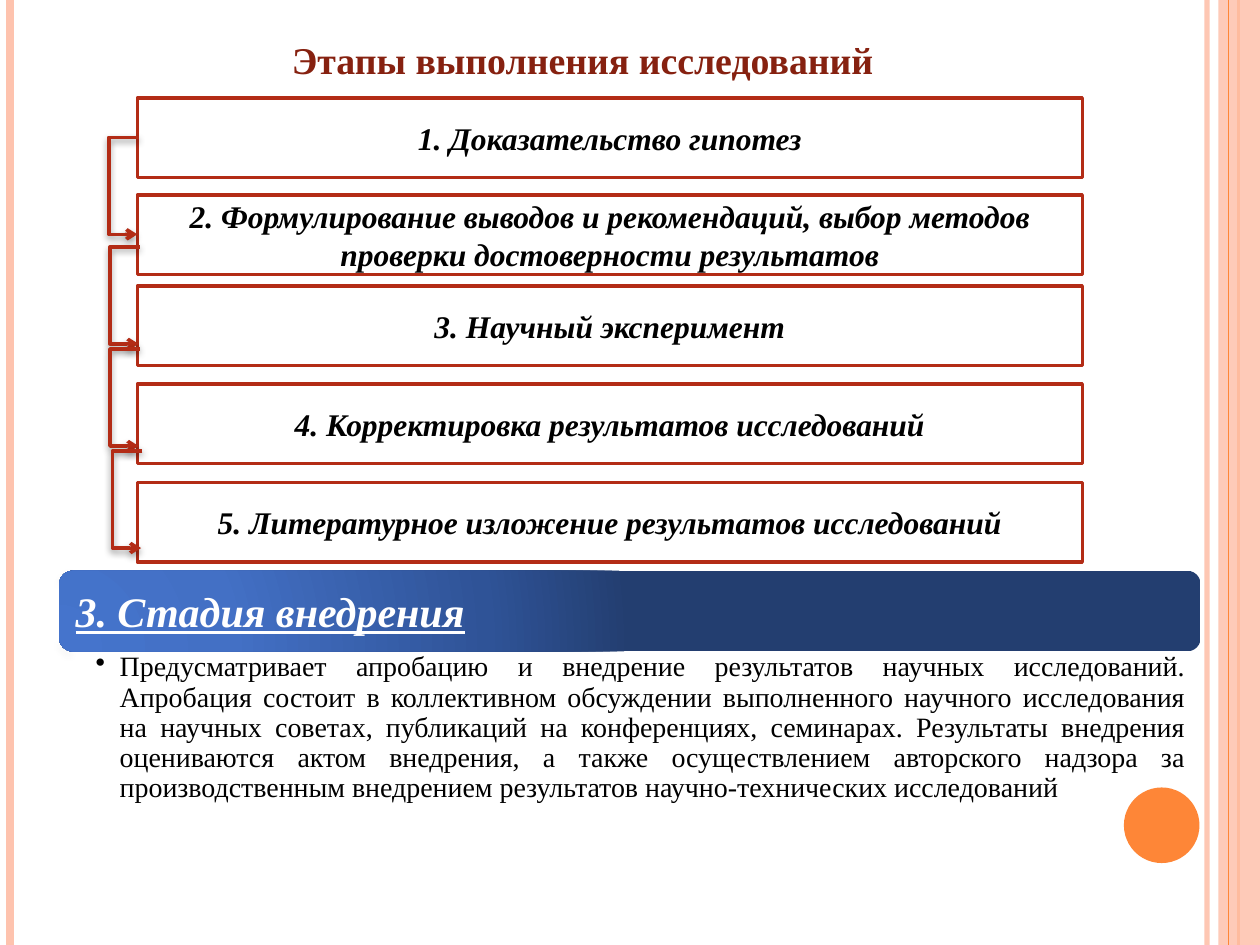
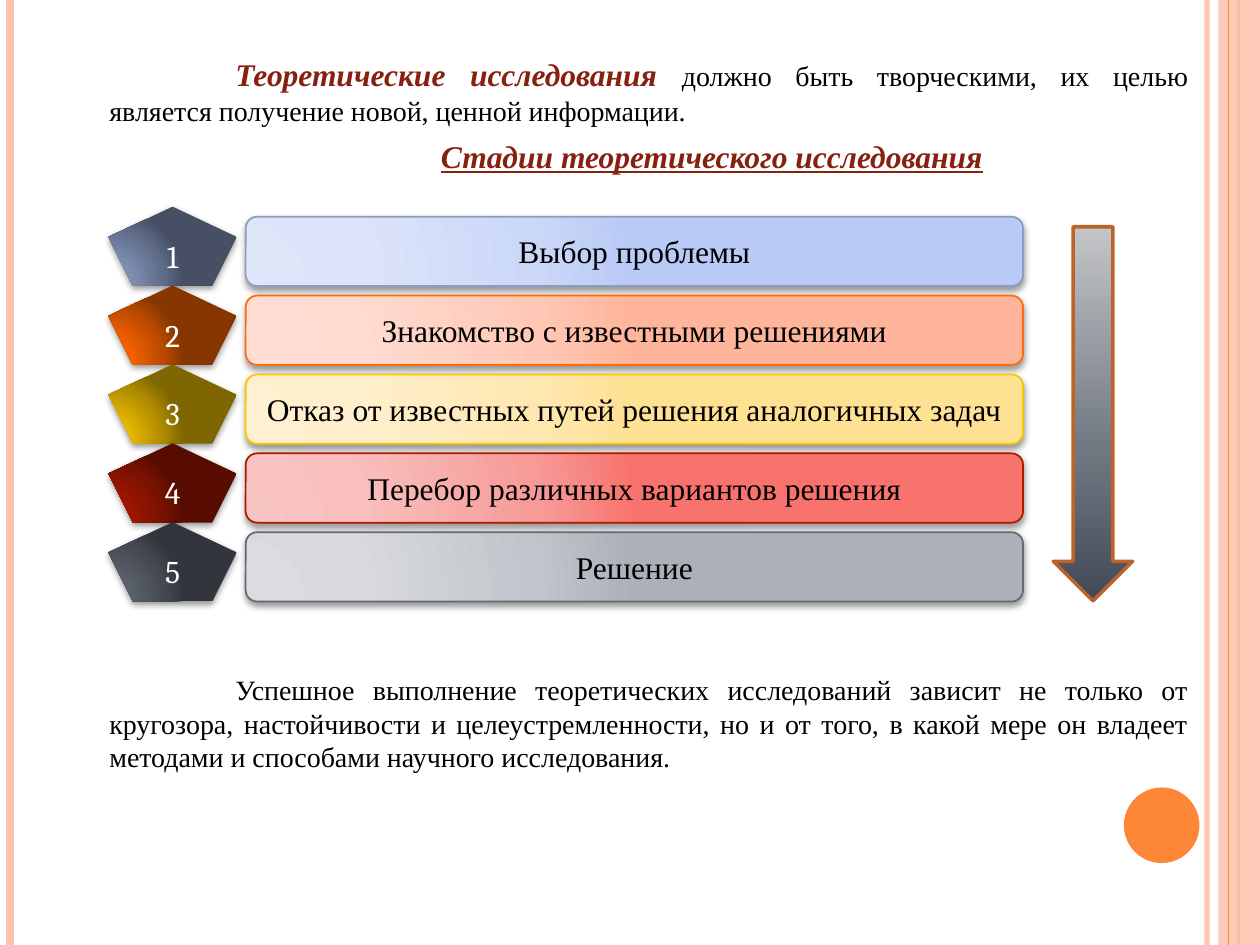
from dataclasses import dataclass

from lxml import etree
from pptx import Presentation
from pptx import util as u
from pptx.dml.color import RGBColor
from pptx.enum import shapes, text
from pptx.oxml import parse_xml
from pptx.oxml.ns import nsdecls, qn

COLUMNS, ROWS = 100, 75
CELL = u.Inches(0.1)
KIND = shapes.MSO_SHAPE
ALIGN = text.PP_ALIGN
MIDDLE = text.MSO_ANCHOR.MIDDLE


@dataclass(frozen=True)
class Theme:
    serif: str = "Times New Roman"
    digits: str = "Cambria"
    black: str = "000000"
    white: str = "FFFFFF"
    title: str = "862110"
    frame: str = "B32C16"
    peach: str = "FEC3AE"
    orange: str = "FE8637"
    arrow_edge: str = "BC6329"
    banner: tuple = ("4574CC", "4370C5", "2F5397", "233E70")
    arrow: tuple = ("424A58", "717781", "C3C5C8")
    title_size: float = 21.6
    banner_size: float = 24
    label_size: float = 18
    body_size: float = 16


@dataclass(frozen=True)
class Box:
    """A rectangle in grid columns and rows."""
    left: float
    top: float
    width: float
    height: float

    def inside(self, left, top, width, height):
        return Box(self.left + left, self.top + top, width, height)

    def lengths(self):
        return [round(n * CELL) for n in (self.left, self.top, self.width, self.height)]


THEME = Theme()
SLIDE = Box(0, 0, COLUMNS, ROWS)

STEPS = [  # row of the frame's top, wording
    (0, "1. Доказательство гипотез"),
    (7.7, "2. Формулирование выводов и рекомендаций, выбор методов проверки достоверности результатов"),
    (14.9, "3. Научный эксперимент"),
    (22.7, "4. Корректировка результатов исследований"),
    (30.5, "5. Литературное изложение результатов исследований"),
]
LINKS = [(0, 3.1), (0.1, 11.8), (0.1, 19.9), (0.3, 28)]

STAGES = [  # wording, edge, bar gradient, badge gradient
    ("Выбор проблемы", "8D9CBF",
     ("DEE6FA", "DBE4F9", "CAD7F7", "B8CAF5"), ("8494B9", "7F8FB2", "5E6B87", "464F64")),
    ("Знакомство с известными решениями", "FF6B0A",
     ("FFDED5", "FFDBD0", "FFC8B6", "FFB59B"), ("FD6400", "F46100", "B74900", "873600")),
    ("Отказ от известных путей решения аналогичных задач", "F8C700",
     ("FFF0D1", "FFEFCC", "FFE7B1", "FFE193"), ("EDBE00", "E5B700", "AC8900", "7F6600")),
    ("Перебор различных вариантов решения", "AC1800",
     ("F8C5C3", "F8BFBD", "F69B98", "F8736E"), ("A41700", "9F1600", "771100", "580C00")),
    ("Решение", "636A74",
     ("DADCE0", "D7D9DD", "C1C5CB", "ABB0B9"), ("5E656F", "5B616B", "444951", "32363C")),
]


def rgb(code):
    return RGBColor.from_string(code)


def set_alpha(owner, percent):
    color = next(owner.iter(qn("a:srgbClr")))
    etree.SubElement(color, qn("a:alpha")).set("val", str(percent * 1000))


def add_figure(page, kind, box, fill, edge=None, weight=1):
    figure = page.shapes.add_shape(kind, *box.lengths())
    figure.shadow.inherit = False
    figure.fill.solid()
    figure.fill.fore_color.rgb = rgb(fill)
    if edge:
        figure.line.color.rgb = rgb(edge)
        figure.line.width = u.Pt(weight)
    else:
        figure.line.fill.background()
    return figure


def set_gradient(figure, positions, colors, direction):
    stops = "".join(f'<a:gs pos="{pos * 1000}"><a:srgbClr val="{color}"/></a:gs>'
                    for pos, color in zip(positions, colors))
    gradient = parse_xml(f'<a:gradFill {nsdecls("a")} rotWithShape="1">'
                         f'<a:gsLst>{stops}</a:gsLst>{direction}</a:gradFill>')
    properties = figure.element.spPr
    properties.replace(properties.find(qn("a:solidFill")), gradient)


def set_glow_gradient(figure, colors):
    """Radial gradient that spreads from the lower left corner."""
    set_gradient(figure, (0, 30, 75, 100), colors,
                 '<a:path path="circle"><a:fillToRect l="5000" t="100000" '
                 'r="120000" b="10000"/></a:path>')


def set_shadow(figure, alpha=40, distance=2):
    properties = figure.element.spPr
    effects = properties.find(qn("a:effectLst"))
    if effects is None:
        effects = etree.SubElement(properties, qn("a:effectLst"))
    effects.append(parse_xml(
        f'<a:outerShdw {nsdecls("a")} blurRad="{u.Pt(4)}" dist="{u.Pt(distance)}" '
        f'dir="5400000" rotWithShape="0"><a:srgbClr val="{THEME.black}">'
        f'<a:alpha val="{alpha * 1000}"/></a:srgbClr></a:outerShdw>'))


def set_font(font, size, color=THEME.black, name=THEME.serif, strong=False, underline=False):
    font.name, font.size, font.color.rgb = name, u.Pt(size), rgb(color)
    font.bold = font.italic = strong
    font.underline = underline


def write(figure, words, size, align=ALIGN.CENTER, **style):
    frame = figure.text_frame
    frame.word_wrap = True
    frame.vertical_anchor = MIDDLE
    para = frame.paragraphs[0]
    para.text = words
    para.alignment = align
    set_font(para.font, size, **style)
    return para


def add_text_box(page, box):
    frame = page.shapes.add_textbox(*box.lengths()).text_frame
    frame.word_wrap = True
    return frame


def set_indent(para, margin, first):
    properties = para._p.get_or_add_pPr()
    properties.set("marL", str(u.Inches(margin)))
    properties.set("indent", str(u.Inches(first)))
    return properties


def add_rule(page, column, color, weight):
    x = round(column * CELL)
    rule = page.shapes.add_connector(shapes.MSO_CONNECTOR.STRAIGHT, x, 0, x, ROWS * CELL)
    rule.line.color.rgb = rgb(color)
    rule.line.width = u.Pt(weight)
    etree.SubElement(rule.element.spPr, qn("a:effectLst"))
    return rule


def decorate_master(deck, page):
    """Draw the shared side bands on a page, then move them to the master."""
    band = add_figure(page, KIND.RECTANGLE, SLIDE.inside(96.7, 0, 3.3, ROWS), THEME.peach)
    set_alpha(band.element.spPr, 87)
    pale = add_rule(page, 95.8, THEME.peach, 3)
    set_alpha(pale.element.spPr, 93)
    parts = [pale,
             add_rule(page, 0.8, THEME.peach, 4.5),
             add_rule(page, 98.3, THEME.orange, 1.5),
             band,
             add_rule(page, 97.5, THEME.orange, 0.75),
             add_figure(page, KIND.OVAL, SLIDE.inside(89.2, 62.5, 6, 6), THEME.orange)]
    tree = deck.slide_master.shapes.element
    for order, part in enumerate(parts):
        part.element.xpath(".//p:cNvPr")[0].set("id", str(100 + order))
        tree.insert(2 + order, part.element)


def place_title(page, box, words):
    title = page.shapes.title
    title.left, title.top, title.width, title.height = box.lengths()
    para = write(title, words, THEME.title_size, color=THEME.title)
    para.font.bold = True
    title.text_frame.vertical_anchor = text.MSO_ANCHOR.BOTTOM


def draw_step_link(page, box):
    """Bracket arrow that leaves and enters the box on its right side."""
    left, top, width, height = box.lengths()
    run = u.Inches(0.01)
    link = page.shapes.add_connector(shapes.MSO_CONNECTOR.ELBOW, left + width + run, top,
                                     left + width, top + height)
    link.line.color.rgb = rgb(THEME.frame)
    link.line.width = u.Pt(2)
    etree.SubElement(link.line._get_or_add_ln(), qn("a:tailEnd")).set("type", "arrow")
    bend = etree.SubElement(link.element.spPr.find(qn("a:prstGeom")).find(qn("a:avLst")),
                            qn("a:gd"))
    bend.set("name", "adj1")
    bend.set("fmla", f"val {100000 * width // run}")
    set_shadow(link)


def draw_steps(page, box):
    for top, words in STEPS:
        frame = add_figure(page, KIND.RECTANGLE, box.inside(0, top, box.width, 6.3),
                           THEME.white, THEME.frame, 2)
        write(frame, words, THEME.label_size, strong=True)
    for shift, top in LINKS:
        draw_step_link(page, box.inside(shift - 2.4, top, 2.4, 7.7))


def draw_adoption(page, box):
    banner = add_figure(page, KIND.ROUNDED_RECTANGLE, box.inside(0, 0, box.width, 6.4),
                        THEME.banner[-1])
    set_glow_gradient(banner, THEME.banner)
    set_shadow(banner, 42, 1.6)
    write(banner, "3. Стадия внедрения", THEME.banner_size, ALIGN.LEFT,
          color=THEME.white, strong=True, underline=True)

    frame = add_text_box(page, box.inside(0, 6.3, box.width, 12.1))
    frame.margin_left, frame.margin_right = u.Inches(0.29), u.Inches(0.12)
    frame.margin_top = frame.margin_bottom = u.Inches(0.02)
    para = frame.paragraphs[0]
    para.text = ("Предусматривает апробацию и внедрение результатов научных исследований. "
                 "Апробация состоит в коллективном обсуждении выполненного научного исследования "
                 "на научных советах, публикаций на конференциях, семинарах. Результаты внедрения "
                 "оцениваются актом внедрения, а также осуществлением авторского надзора за "
                 "производственным внедрением результатов научно-технических исследований")
    para.alignment = ALIGN.JUSTIFY
    para.line_spacing = 0.9
    bullet = etree.SubElement(set_indent(para, 0.19, -0.19), qn("a:buChar"))
    bullet.set("char", "•")
    set_font(para.font, THEME.body_size)


def draw_intro(page, box):
    frame = add_text_box(page, box)
    opening, heading = frame.paragraphs[0], frame.add_paragraph()
    term, rest = opening.add_run(), opening.add_run()
    term.text = "Теоретические исследования "
    rest.text = "должно быть творческими, их целью является получение новой, ценной информации."
    set_font(term.font, THEME.label_size, THEME.title, strong=True)
    set_font(rest.font, THEME.body_size)
    opening.alignment = ALIGN.JUSTIFY
    heading.text = "Стадии теоретического исследования"
    heading.alignment = ALIGN.CENTER
    heading.space_before = u.Pt(6)
    set_font(heading.font, THEME.label_size, THEME.title, strong=True, underline=True)
    for para in (opening, heading):
        set_indent(para, 0.3, 1)


def draw_stages(page, box):
    pitch = box.height / len(STAGES)
    for order, (words, edge, bar_colors, badge_colors) in enumerate(STAGES):
        top = order * pitch
        bar = add_figure(page, KIND.ROUNDED_RECTANGLE, box.inside(10.9, top + 0.8, 61.7, 5.5),
                         bar_colors[-1], edge)
        set_glow_gradient(bar, bar_colors)
        set_shadow(bar)
        write(bar, words, THEME.label_size)
        badge = add_figure(page, KIND.REGULAR_PENTAGON, box.inside(0, top, 10.2, 6.3),
                           badge_colors[-1])
        set_glow_gradient(badge, badge_colors)
        set_shadow(badge, 42, 1.6)
        write(badge, str(order + 1), THEME.label_size, color=THEME.white, name=THEME.digits)
    arrow = add_figure(page, KIND.DOWN_ARROW, box.inside(75, 1.6, 6.3, 29.7),
                       THEME.arrow[0], THEME.arrow_edge, 2)
    set_gradient(arrow, (0, 40, 100), THEME.arrow, '<a:lin ang="16200000" scaled="0"/>')


def draw_conclusion(page, box):
    para = add_text_box(page, box).paragraphs[0]
    para.text = ("Успешное выполнение теоретических исследований зависит не только от кругозора, "
                 "настойчивости и целеустремленности, но и от того, в какой мере он владеет "
                 "методами и способами научного исследования.")
    para.alignment = ALIGN.JUSTIFY
    set_indent(para, 0.3, 1)
    set_font(para.font, THEME.body_size)


def main():
    deck = Presentation()
    deck.slide_width, deck.slide_height = COLUMNS * CELL, ROWS * CELL
    title_only, blank = deck.slide_layouts[5], deck.slide_layouts[6]

    research = deck.slides.add_slide(title_only)
    decorate_master(deck, research)
    place_title(research, SLIDE.inside(5, 3, 82.5, 4), "Этапы выполнения исследований")
    draw_adoption(research, SLIDE.inside(4.7, 45.3, 90.6, 18.4))
    draw_steps(research, SLIDE.inside(10.9, 7.8, 75, 36.8))

    theory = deck.slides.add_slide(blank)
    draw_intro(theory, SLIDE.inside(4.7, 3.9, 90.6, 11))
    draw_stages(theory, SLIDE.inside(8.6, 16.4, 81.3, 31.3))
    draw_conclusion(theory, SLIDE.inside(4.7, 52.9, 90.6, 9.5))
    deck.save("out.pptx")


if __name__ == "__main__":
    main()
